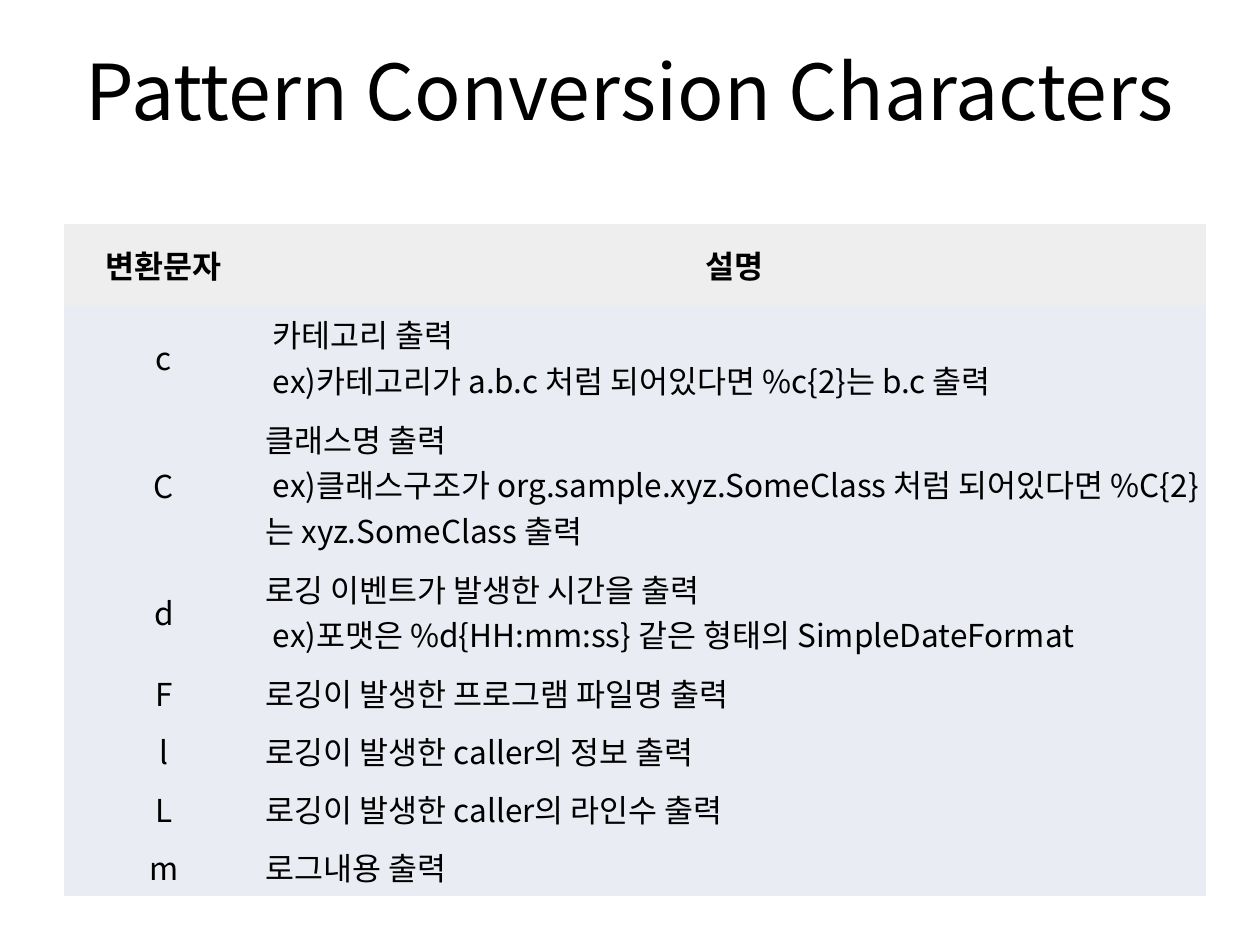
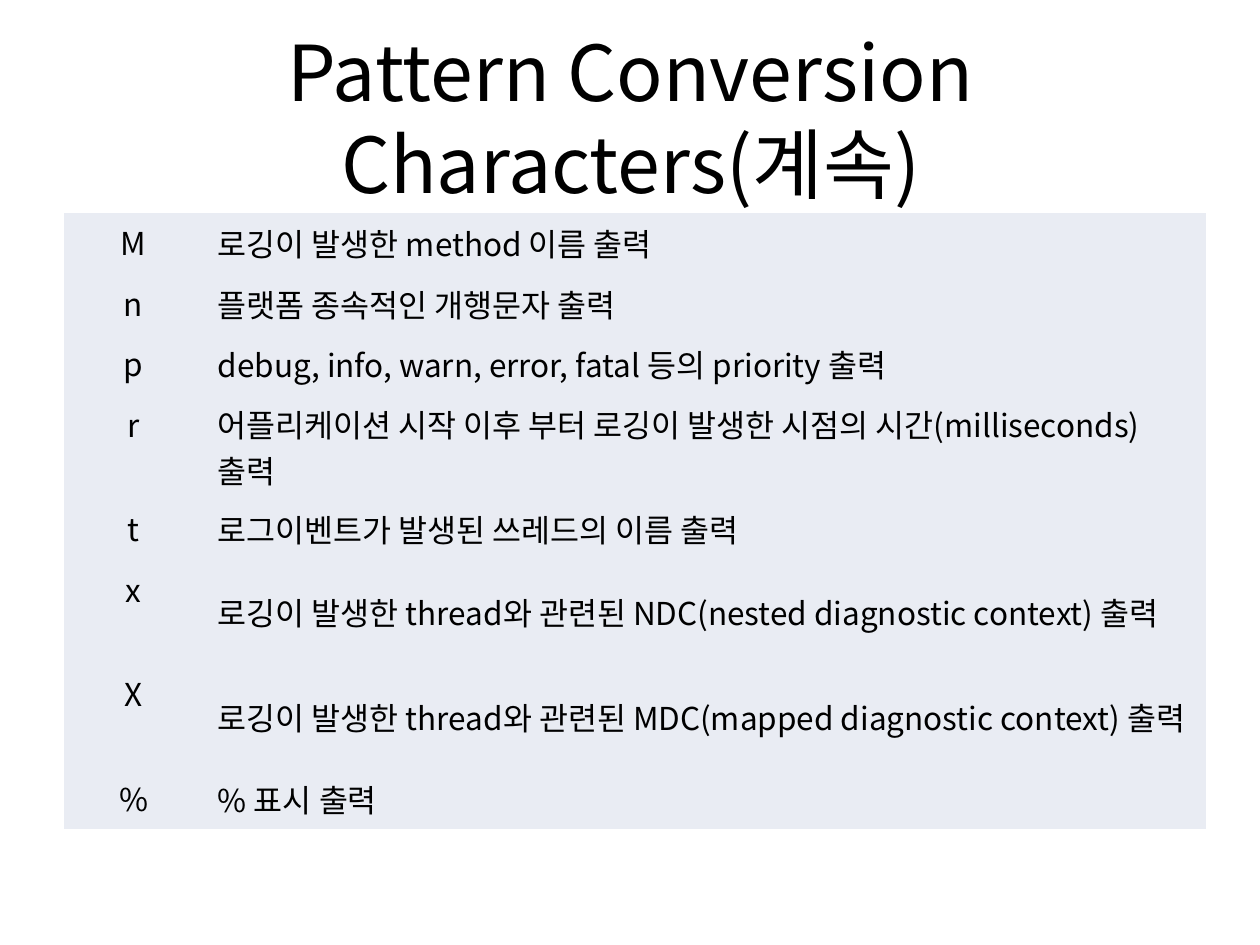
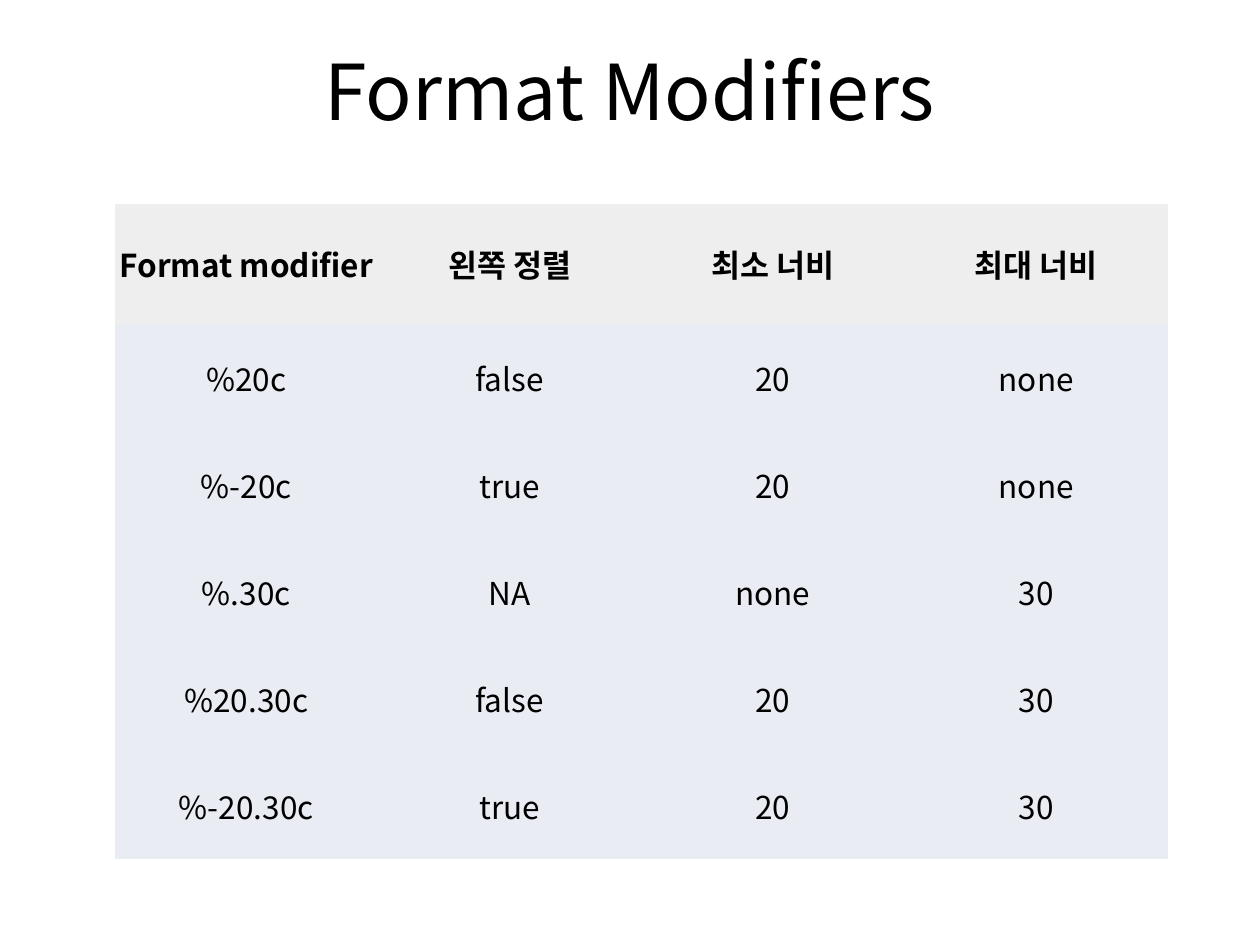
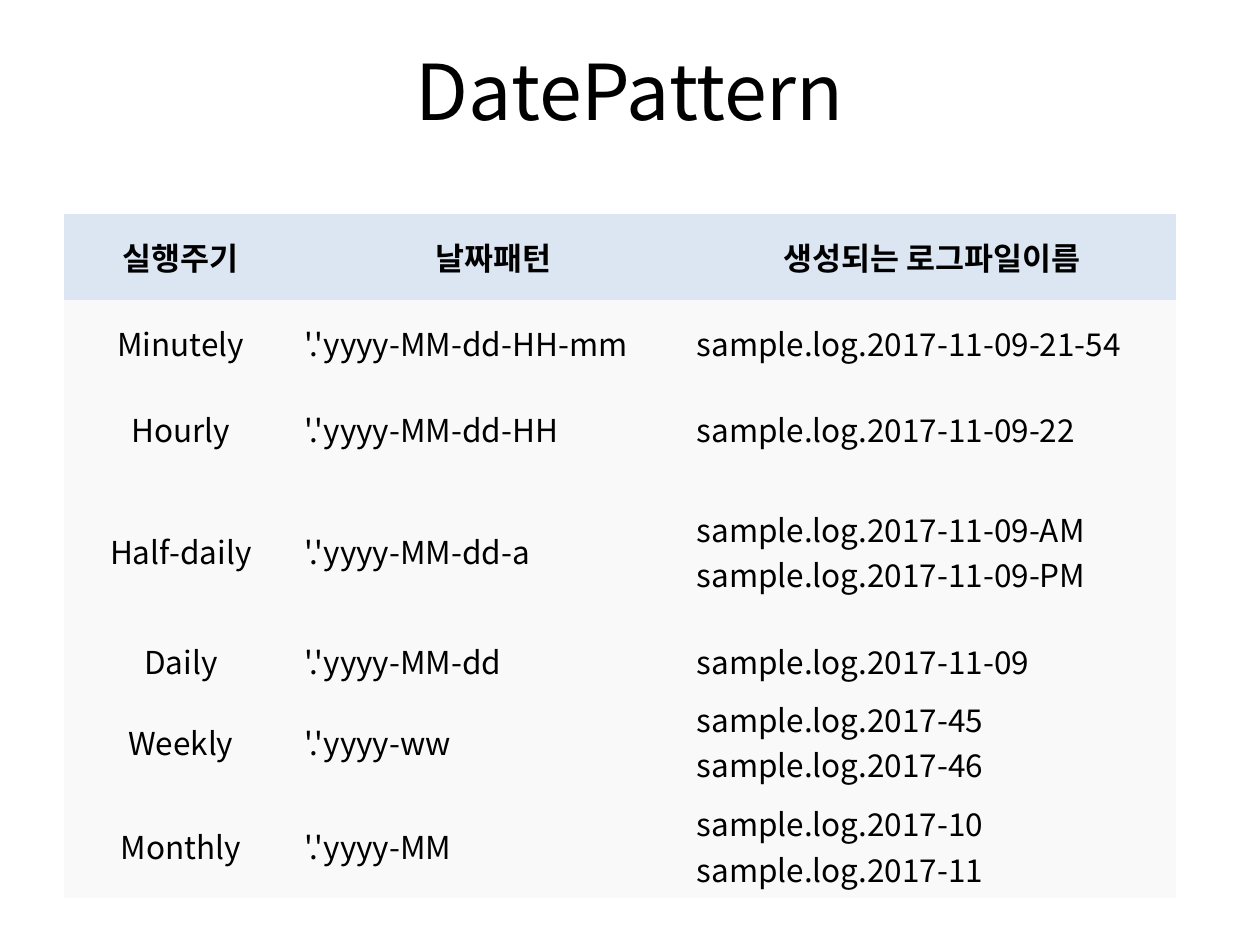
"""Build four slides of logging pattern reference tables."""
import pptx
import pptx.dml.color
import pptx.enum.text
import pptx.oxml.ns
import pptx.util
from lxml import etree

EMU_PER_PX = 9144
FONT = "Noto Sans CJK KR"
BLACK = "000000"
GREY, BLUE_GREY = "EEEEEE", "E9ECF3"
LIGHT_BLUE, OFF_WHITE = "DCE6F2", "F9F9F9"
NO_STYLE = "{2D5ABB26-0587-4C30-8999-92F81FD0307C}"
ONE_LINE, TWO_LINES, THREE_LINES = 46, 83, 119
ALIGN = pptx.enum.text.PP_ALIGN
ANCHOR = pptx.enum.text.MSO_ANCHOR
CENTER_MIDDLE = (ALIGN.CENTER, ANCHOR.MIDDLE)
CENTER_TOP = (ALIGN.CENTER, ANCHOR.TOP)
LEFT_MIDDLE = (ALIGN.LEFT, ANCHOR.MIDDLE)
LEFT_TOP = (ALIGN.LEFT, ANCHOR.TOP)

CHARACTERS = [
    ["변환문자", "설명"],
    ["c", " 카테고리 출력\n ex)카테고리가 a.b.c 처럼 되어있다면 %c{2}는 b.c 출력"],
    ["C", "클래스명 출력\n ex)클래스구조가 org.sample.xyz.SomeClass 처럼 되어있다면 "
          "%C{2}는 xyz.SomeClass 출력"],
    ["d", "로깅 이벤트가 발생한 시간을 출력\n ex)포맷은 %d{HH:mm:ss} 같은 형태의 SimpleDateFormat"],
    ["F", "로깅이 발생한 프로그램 파일명 출력"],
    ["l", "로깅이 발생한 caller의 정보 출력"],
    ["L", "로깅이 발생한 caller의 라인수 출력"],
    ["m", "로그내용 출력"],
]
MORE_CHARACTERS = [
    ["M", "로깅이 발생한 method 이름 출력"],
    ["n", "플랫폼 종속적인 개행문자 출력"],
    ["p", "debug, info, warn, error, fatal 등의 priority 출력"],
    ["r", "어플리케이션 시작 이후 부터 로깅이 발생한 시점의 시간(milliseconds) 출력"],
    ["t", "로그이벤트가 발생된 쓰레드의 이름 출력"],
    ["x", "로깅이 발생한 thread와 관련된 NDC(nested diagnostic context) 출력"],
    ["X", "로깅이 발생한 thread와 관련된 MDC(mapped diagnostic context) 출력"],
    ["%", "% 표시 출력"],
]
MODIFIERS = [
    ["Format modifier", "왼쪽 정렬", "최소 너비", "최대 너비"],
    ["%20c", "false", "20", "none"],
    ["%-20c", "true", "20", "none"],
    ["%.30c", "NA", "none", "30"],
    ["%20.30c", "false", "20", "30"],
    ["%-20.30c", "true", "20", "30"],
]
DATE_PATTERNS = [
    ["실행주기", "날짜패턴", "생성되는 로그파일이름"],
    ["Minutely", "'.'yyyy-MM-dd-HH-mm", "sample.log.2017-11-09-21-54"],
    ["Hourly", "'.'yyyy-MM-dd-HH", "sample.log.2017-11-09-22"],
    ["Half-daily", "'.'yyyy-MM-dd-a", "sample.log.2017-11-09-AM\vsample.log.2017-11-09-PM"],
    ["Daily", "'.'yyyy-MM-dd", "sample.log.2017-11-09"],
    ["Weekly", "'.'yyyy-ww", "sample.log.2017-45\vsample.log.2017-46"],
    ["Monthly", "'.'yyyy-MM", "sample.log.2017-10\vsample.log.2017-11"],
]


def px(length):
    """Turn px into EMU."""
    return pptx.util.Emu(length * EMU_PER_PX)


def color(code):
    """Turn a hex string into a colour."""
    return pptx.dml.color.RGBColor.from_string(code)


def format_text(text_frame, size, align, bold=False):
    """Format every paragraph and run of a text frame."""
    for paragraph in text_frame.paragraphs:
        paragraph.alignment = align
        for run in paragraph.runs:
            run.font.size = pptx.util.Pt(size)
            run.font.bold = bold
            run.font.name = FONT
            run.font.color.rgb = color(BLACK)
            properties = run.font._element
            east_asian = etree.SubElement(properties, pptx.oxml.ns.qn("a:ea"))
            east_asian.set("typeface", FONT)


def add_title(slide, text, left=50, width=900, anchor=ANCHOR.TOP):
    """Add the centred slide title."""
    shape = slide.shapes.add_textbox(px(left), px(30), px(width), px(125))
    text_frame = shape.text_frame
    text_frame.word_wrap = True
    text_frame.vertical_anchor = anchor
    text_frame.text = text
    format_text(text_frame, 44, ALIGN.CENTER)


def fill_cell(cell, text, placement, fill, insets, bold):
    """Write and format one table cell."""
    align, anchor = placement
    cell.text = text
    cell.vertical_anchor = anchor
    cell.margin_left, cell.margin_right = map(px, insets)
    cell.margin_top = cell.margin_bottom = px(5)
    cell.fill.solid()
    cell.fill.fore_color.rgb = color(fill)
    format_text(cell.text_frame, 18, align, bold)


def add_table(slide, left, top, columns, heights, rows, placements,
              header_fill=None, body_fill=BLUE_GREY, insets=(2, 2)):
    """Add a borderless table; a header fill makes the first row a header."""
    frame = slide.shapes.add_table(len(rows), len(columns), px(left), px(top),
                                   px(sum(columns)), px(sum(heights)))
    table = frame.table
    table.first_row = header_fill is not None
    table.horz_banding = False
    table._tbl.tblPr.find(pptx.oxml.ns.qn("a:tableStyleId")).text = NO_STYLE
    for column, width in zip(table.columns, columns):
        column.width = px(width)
    for row, height in zip(table.rows, heights):
        row.height = px(height)
    for row_index, texts in enumerate(rows):
        is_header = header_fill is not None and row_index == 0
        for column_index, text in enumerate(texts):
            placement = CENTER_MIDDLE if is_header else placements[column_index]
            fill = header_fill if is_header else body_fill
            fill_cell(table.cell(row_index, column_index), text, placement,
                      fill, insets, is_header)


def main():
    """Build and save the presentation."""
    presentation = pptx.Presentation()
    presentation.slide_width, presentation.slide_height = px(1000), px(750)
    blank = presentation.slide_layouts[6]

    slide = presentation.slides.add_slide(blank)
    add_title(slide, "Pattern Conversion Characters")
    add_table(slide, 51, 178, [158, 748],
              [64, TWO_LINES, THREE_LINES, TWO_LINES] + [ONE_LINE] * 4,
              CHARACTERS, [CENTER_MIDDLE, LEFT_TOP], GREY)

    slide = presentation.slides.add_slide(blank)
    add_table(slide, 51, 169, [120, 786],
              [48, 48, 48, TWO_LINES, 48, TWO_LINES, TWO_LINES, 48],
              MORE_CHARACTERS, [CENTER_TOP, LEFT_MIDDLE], insets=(2, 12))
    add_title(slide, "Pattern Conversion Characters(계속)", 28, 945, ANCHOR.MIDDLE)

    slide = presentation.slides.add_slide(blank)
    add_title(slide, "Format Modifiers")
    add_table(slide, 91, 162, [209] * 4, [95] + [85] * 5,
              MODIFIERS, [CENTER_MIDDLE] * 4, GREY)

    slide = presentation.slides.add_slide(blank)
    add_table(slide, 51, 170, [185, 311, 386],
              [68, 68, 68, 127, ONE_LINE, TWO_LINES, TWO_LINES],
              DATE_PATTERNS, [CENTER_MIDDLE, LEFT_MIDDLE, LEFT_MIDDLE],
              LIGHT_BLUE, OFF_WHITE, (6, 6))
    add_title(slide, "DatePattern")

    presentation.save("out.pptx")


if __name__ == "__main__":
    main()
